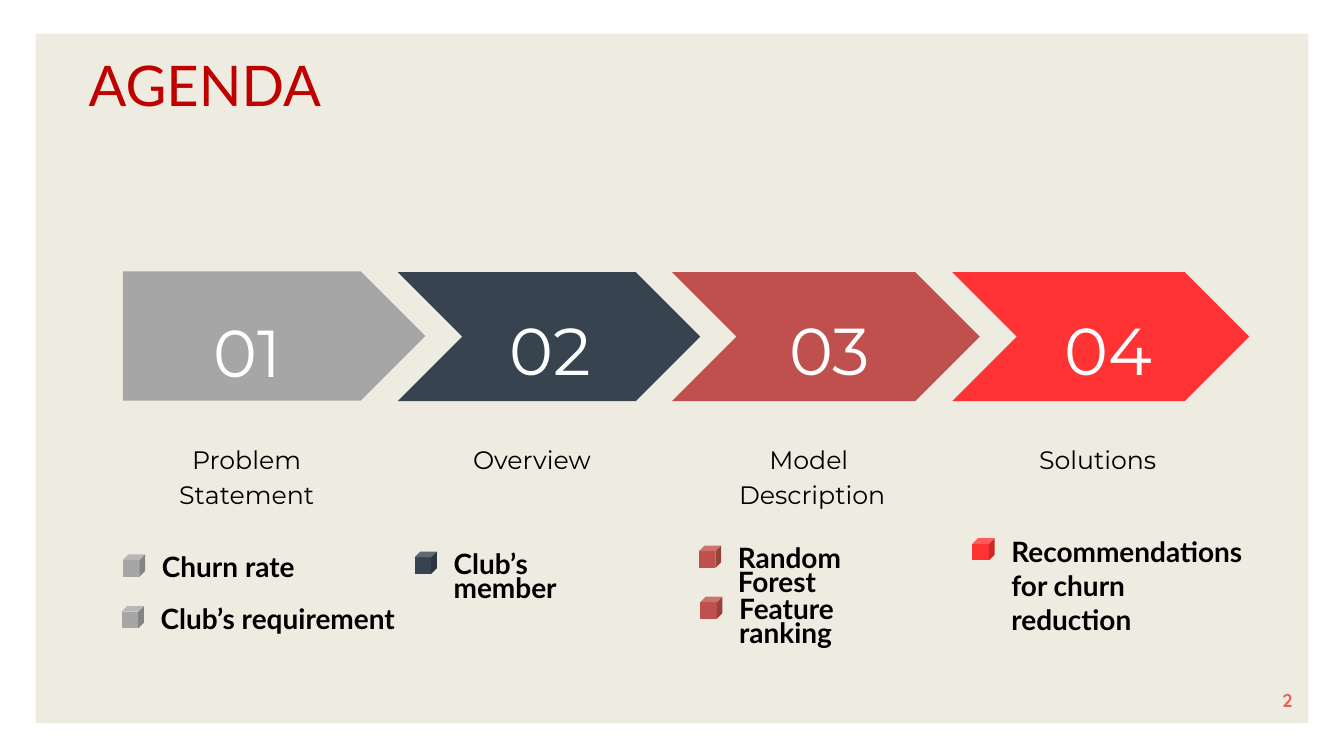
from dataclasses import dataclass

from lxml import etree
from pptx import Presentation
from pptx.dml.color import RGBColor
from pptx.enum import shapes, text
from pptx.util import Inches, Length, Pt


@dataclass(frozen=True)
class Style:
    size: float
    font: str
    color: str
    bold: bool = False
    leading: float | None = None
    align: text.PP_ALIGN = text.PP_ALIGN.LEFT


@dataclass(frozen=True)
class Theme:
    panel: str = "EEECE1"
    title: Style = Style(60, "Lato", "C00000", leading=29.4)
    label: Style = Style(27, "Montserrat", "000000", leading=37.8, align=text.PP_ALIGN.CENTER)
    number: Style = Style(71, "Montserrat", "FFFFFF", leading=127.4, align=text.PP_ALIGN.JUSTIFY)
    topic: Style = Style(30, "Lato", "000000", bold=True, leading=25.2)
    long_topic: Style = Style(30, "Lato", "000000", bold=True)
    page: Style = Style(20, "Quicksand", "E66461", bold=True, align=text.PP_ALIGN.RIGHT)


@dataclass(frozen=True)
class Box:
    left: float
    top: float
    width: float
    height: float

    def lengths(self) -> tuple[Length, ...]:
        return tuple(Inches(v) for v in (self.left, self.top, self.width, self.height))


@dataclass(frozen=True)
class Topic:
    wording: str
    cube_left: float
    cube_top: float
    width: float
    drop: float = 0.08
    height: float = 0.37
    style: Style = Theme.topic


@dataclass(frozen=True)
class Stage:
    number: str
    color: str
    arrow: Box
    number_at: tuple[float, float]
    label: tuple[str, ...]
    label_box: Box
    topics: tuple[Topic, ...]


THEME = Theme()
CUBE = 0.33
TOPIC_INDENT = 0.58
STAGES = (
    Stage("01", "A6A6A6", Box(1.83, 4.04, 4.5, 1.92), (3.18, 4.04),
          ("Problem Statement",), Box(1.92, 6.54, 3.5, 1.07),
          (Topic("Churn rate", 1.83, 8.25, 4.42),
           Topic("Club’s requirement", 1.81, 9.02, 4.42))),
    Stage("02", "384350", Box(5.92, 4.05, 4.5, 1.92), (7.58, 4.01),
          ("Overview",), Box(5.75, 6.54, 4.33, 0.53),
          (Topic("Club’s member", 6.17, 8.21, 2.67),)),
    Stage("03", "C0504D", Box(10, 4.05, 4.58, 1.92), (11.75, 4.01),
          ("Model ", "Description"), Box(9.92, 6.54, 4.33, 1.03),
          (Topic("Random Forest", 10.4, 8.12, 2.76),
           Topic("Feature ranking", 10.42, 8.88, 2.76))),
    Stage("04", "FF3333", Box(14.17, 4.05, 4.42, 1.92), (15.84, 4.01),
          ("Solutions",), Box(14.17, 6.54, 4.33, 0.49),
          (Topic("Recommendations for churn reduction", 14.47, 8.01, 3.44,
                 -0.05, 1.01, THEME.long_topic),)),
)


def write(frame, lines: tuple[str, ...], style: Style, inset: bool = False) -> None:
    frame.word_wrap = True
    frame.auto_size = text.MSO_AUTO_SIZE.NONE
    frame.vertical_anchor = text.MSO_ANCHOR.MIDDLE if inset else text.MSO_ANCHOR.TOP
    if not inset:
        frame.margin_left = frame.margin_right = frame.margin_top = frame.margin_bottom = 0
    for index, line in enumerate(lines):
        paragraph = frame.paragraphs[0] if index == 0 else frame.add_paragraph()
        paragraph.alignment = style.align
        paragraph.space_before = Pt(0)
        if style.leading:
            paragraph.line_spacing = Pt(style.leading)
        run = paragraph.add_run()
        run.text = line
        run.font.size = Pt(style.size)
        run.font.name = style.font
        run.font.bold = style.bold
        run.font.color.rgb = RGBColor.from_string(style.color)


def add_text(slide, box: Box, lines: tuple[str, ...], style: Style, inset: bool = False) -> None:
    write(slide.shapes.add_textbox(*box.lengths()).text_frame, lines, style, inset)


def add_block(slide, preset: shapes.MSO_SHAPE, box: Box, color: str):
    block = slide.shapes.add_shape(preset, *box.lengths())
    block.shadow.inherit = False
    block.fill.solid()
    block.fill.fore_color.rgb = RGBColor.from_string(color)
    block.line.fill.background()
    return block


def add_topic(slide, topic: Topic, color: str) -> None:
    cube = Box(topic.cube_left, topic.cube_top, CUBE, CUBE)
    add_block(slide, shapes.MSO_SHAPE.CUBE, cube, color)
    wording = Box(topic.cube_left + TOPIC_INDENT, topic.cube_top + topic.drop,
                  topic.width, topic.height)
    add_text(slide, wording, (topic.wording,), topic.style)


def add_stage(slide, stage: Stage, preset: shapes.MSO_SHAPE) -> None:
    add_block(slide, preset, stage.arrow, stage.color)
    add_text(slide, stage.label_box, stage.label, THEME.label)
    add_text(slide, Box(*stage.number_at, 1.91, 1.62), (stage.number,), THEME.number)
    for topic in stage.topics:
        add_topic(slide, topic, stage.color)


def main() -> None:
    deck = Presentation()
    deck.slide_width = Inches(20)
    deck.slide_height = Inches(11.25)
    slide = deck.slides.add_slide(deck.slide_layouts[5])

    title = slide.shapes.title
    title.left, title.top, title.width, title.height = Box(1.32, 1.35, 7.08, 0.52).lengths()
    write(title.text_frame, ("AGENDA",), THEME.title)

    panel = add_block(slide, shapes.MSO_SHAPE.RECTANGLE, Box(0.53, 0.5, 18.94, 10.26), THEME.panel)
    title.element.addprevious(panel.element)

    for index, stage in enumerate(STAGES):
        preset = shapes.MSO_SHAPE.CHEVRON if index else shapes.MSO_SHAPE.PENTAGON
        add_stage(slide, stage, preset)
    add_text(slide, Box(17, 10.21, 2.33, 0.4), ("2",), THEME.page, inset=True)
    deck.save("out.pptx")


if __name__ == "__main__":
    main()
